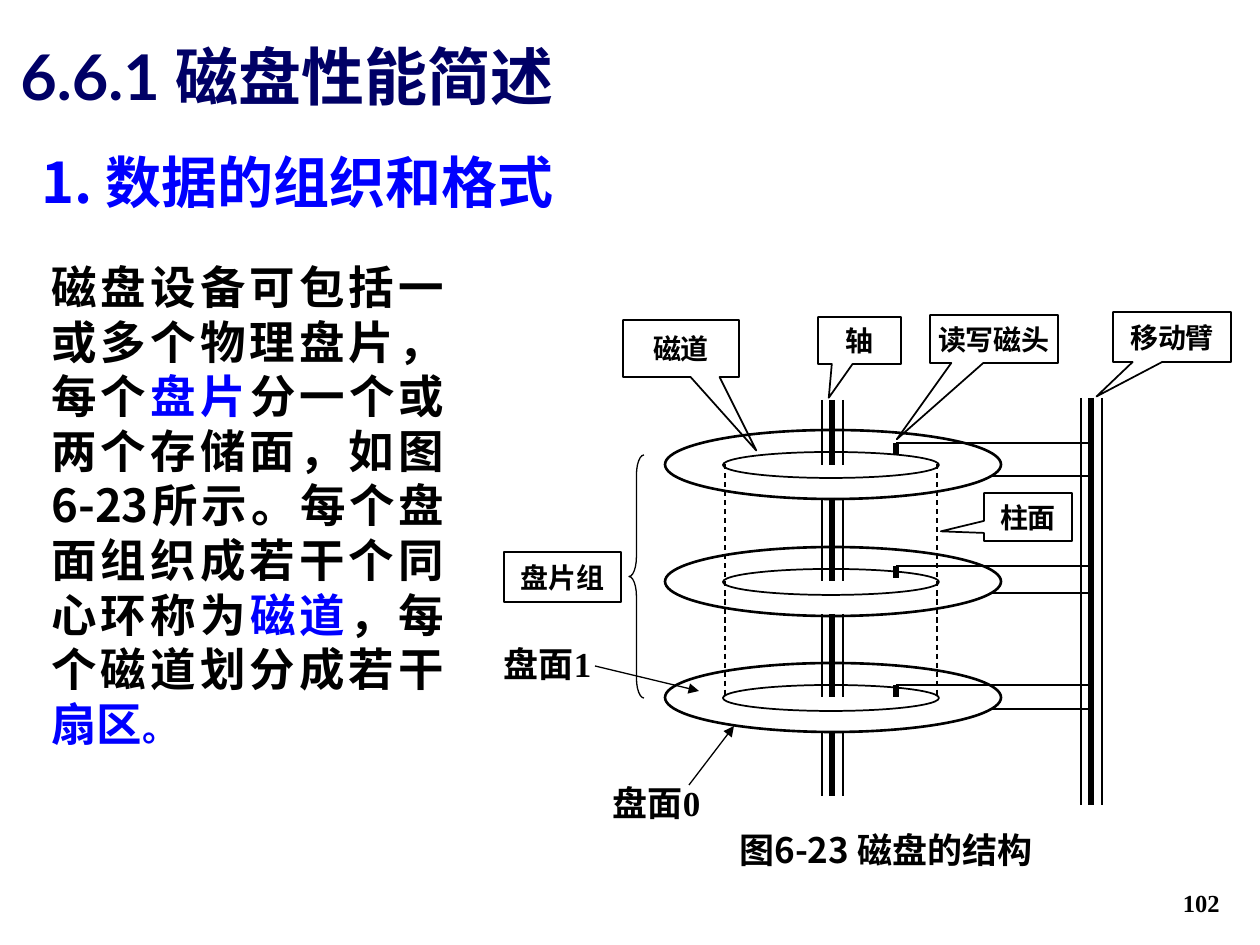
from pptx import Presentation
from pptx.dml.color import RGBColor
from pptx.enum.dml import MSO_LINE
from pptx.enum.shapes import MSO_CONNECTOR, MSO_SHAPE
from pptx.enum.text import MSO_ANCHOR, PP_ALIGN
from pptx.oxml.ns import qn
from pptx.util import Emu, Pt
from lxml.etree import SubElement

EMU_PER_PX = 914400 / 126
BLACK = RGBColor(0x00, 0x00, 0x00)
WHITE = RGBColor(0xFF, 0xFF, 0xFF)
BLUE = RGBColor(0x00, 0x00, 0xFF)
NAVY = RGBColor(0x00, 0x00, 0x66)
SANS, CJK, SERIF = "Lato", "Noto Sans CJK SC", "Times New Roman"


def px(length):
    return Emu(round(length * EMU_PER_PX))


class DiskSlide:
    def __init__(self, slide):
        self.shapes = slide.shapes

    def fill_frame(self, frame, runs, size, font, align, color=BLACK):
        """Fill the frame with one bold paragraph of (text, color) runs."""
        paragraph = frame.paragraphs[0]
        paragraph.alignment = align
        paragraph.font.name = font
        paragraph.font.size = Pt(size)
        paragraph.font.bold = True
        if isinstance(runs, str):
            paragraph.font.color.rgb = color
            runs = [(runs, None)]
        for text, run_color in runs:
            run = paragraph.add_run()
            run.text = text
            if run_color is not None:
                run.font.color.rgb = run_color
        return paragraph

    def text(self, box, runs, size, font=CJK, align=PP_ALIGN.LEFT, color=BLACK,
             anchor=MSO_ANCHOR.TOP):
        frame = self.shapes.add_textbox(*map(px, box)).text_frame
        frame.word_wrap = True
        frame.vertical_anchor = anchor
        return self.fill_frame(frame, runs, size, font, align, color)

    def shape(self, kind, box, width, fill=None):
        shape = self.shapes.add_shape(kind, *map(px, box))
        shape.shadow.inherit = False
        if fill is None:
            shape.fill.background()
        else:
            shape.fill.solid()
            shape.fill.fore_color.rgb = fill
        shape.line.color.rgb = BLACK
        shape.line.width = Pt(width)
        return shape

    def label(self, kind, box, text, width=1):
        shape = self.shape(kind, box, width)
        frame = shape.text_frame
        frame.margin_left = frame.margin_right = px(2)
        frame.margin_top = frame.margin_bottom = px(1)
        frame.vertical_anchor = MSO_ANCHOR.MIDDLE
        self.fill_frame(frame, text, 16, SANS, PP_ALIGN.CENTER)
        return shape

    def callout(self, box, text, tip):
        """Label whose pointer ends at tip, given relative to its size."""
        shape = self.label(MSO_SHAPE.RECTANGULAR_CALLOUT, box, text)
        shape.adjustments[0], shape.adjustments[1] = tip

    def line(self, start, end, width, dashed=False, arrow=False):
        line = self.shapes.add_connector(MSO_CONNECTOR.STRAIGHT, *map(px, start + end))
        line.line.color.rgb = BLACK
        line.line.width = Pt(width)
        if dashed:
            line.line.dash_style = MSO_LINE.DASH
        properties = line._element.spPr
        if arrow:
            SubElement(properties.find(qn("a:ln")), qn("a:tailEnd"), type="triangle")
        SubElement(properties, qn("a:effectLst"))

    def rod(self, center, top, bottom):
        """Thick core between two thin edges."""
        for offset, width in ((-10, 1.5), (11, 1.5), (0, 3)):
            self.line((center + offset, top), (center + offset, bottom), width)


def main():
    deck = Presentation()
    deck.slide_width, deck.slide_height = px(1260), px(945)
    page = DiskSlide(deck.slides.add_slide(deck.slide_layouts[6]))

    page.text((8, 23, 1188, 96), "6.6.1 磁盘性能简述", 36, SANS, color=NAVY,
              anchor=MSO_ANCHOR.BOTTOM)
    page.text((29, 141, 1147, 81), "1. 数据的组织和格式", 32, color=BLUE)
    body = [
        ("磁盘设备可包括一或多个物理盘片，每个", BLACK),
        ("盘片", BLUE),
        ("分一个或两个存储面，如图6-23所示。每个盘面组织成若干个同心环称为", BLACK),
        ("磁道", BLUE),
        ("，每个磁道划分成若干", BLACK),
        ("扇区", BLUE),
        ("。", BLUE),
    ]
    paragraph = page.text((39, 253, 418, 504), body, 26, align=PP_ALIGN.JUSTIFY)
    paragraph.runs[-1].font.size = Pt(20)

    arm_x, shaft_x, head_x = 1091, 832, 896
    page.rod(arm_x, 398, 805)
    disk_tops, head_tops = (430, 547, 663), (443, 566, 685)
    for disk_top, head_top in zip(disk_tops, head_tops):
        page.line((907, disk_top + 46), (arm_x, disk_top + 46), 1.5)
        page.shape(MSO_SHAPE.OVAL, (665, disk_top, 336, 69), 1.5, WHITE)
        page.shape(MSO_SHAPE.OVAL, (723, disk_top + 22, 216, 26), 1)
        page.line((head_x, head_top), (arm_x, head_top), 1.5)
        page.line((head_x, head_top), (head_x, head_top + 12), 3)
    for top, bottom in ((400, 465), (498, 581), (614, 697), (731, 796)):
        page.rod(shaft_x, top, bottom)
    for cylinder_x in (725, 937):
        page.line((cylinder_x, 464), (cylinder_x, 697), 0.75, dashed=True)

    brace = page.shape(MSO_SHAPE.LEFT_BRACE, (629, 455, 15, 243), 0.75)
    brace.adjustments[0] = 1.33
    pack = page.label(MSO_SHAPE.RECTANGLE, (504, 552, 117, 50), "盘片组", 1.5)
    pack.text_frame.word_wrap = False
    for box, text, tip in (
        ((623, 320, 116, 57), "磁道", (0.65, 1.79)),
        ((818, 317, 83, 47), "轴", (-0.37, 1.22)),
        ((930, 315, 128, 48), "读写磁头", (-0.76, 2.09)),
        ((1113, 312, 118, 50), "移动臂", (-0.64, 1.19)),
        ((984, 493, 88, 48), "柱面", (-0.99, 0.3)),
    ):
        page.callout(box, text, tip)

    for box, text, start, end in (
        ((595, 775, 123, 55), "盘面0", (689, 785), (734, 726)),
        ((486, 636, 123, 55), "盘面1", (595, 666), (699, 691)),
    ):
        page.text(box, text, 20, SERIF, PP_ALIGN.CENTER)
        page.line(start, end, 0.75, arrow=True)
    page.text((711, 822, 350, 87), "图6-23 磁盘的结构", 20, align=PP_ALIGN.CENTER)
    page.text((970, 861, 262, 63), "102", 14, SERIF, PP_ALIGN.RIGHT,
              anchor=MSO_ANCHOR.BOTTOM)
    deck.save("out.pptx")


if __name__ == "__main__":
    main()
